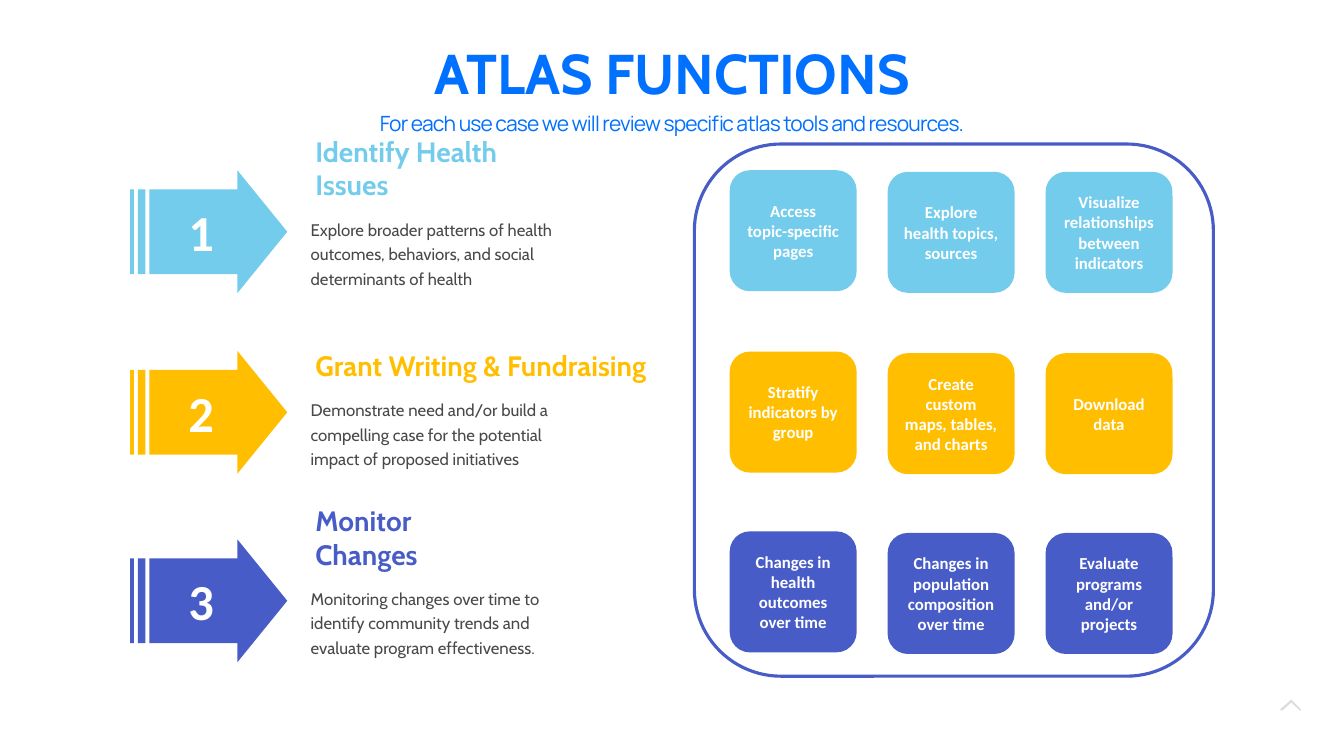
from dataclasses import dataclass

from pptx import Presentation
from pptx.dml.color import RGBColor
from pptx.enum.shapes import MSO_SHAPE
from pptx.enum.text import MSO_ANCHOR, MSO_AUTO_SIZE, PP_ALIGN
from pptx.util import Cm, Pt

ARROW, ROUNDED = MSO_SHAPE.STRIPED_RIGHT_ARROW, MSO_SHAPE.ROUNDED_RECTANGLE
TOP, MIDDLE, BOTTOM = MSO_ANCHOR.TOP, MSO_ANCHOR.MIDDLE, MSO_ANCHOR.BOTTOM
LEFT, CENTER = PP_ALIGN.LEFT, PP_ALIGN.CENTER
GROW = MSO_AUTO_SIZE.SHAPE_TO_FIT_TEXT


@dataclass(frozen=True)
class Theme:
    title: str = "0070FF"
    body: str = "49494B"
    white: str = "FFFFFF"
    chevron: str = "DBDBDB"
    sky: str = "73CCEC"
    amber: str = "FFBF00"
    indigo: str = "485CC7"
    heading_font: str = "Cabin"
    subtitle_font: str = "Manrope"
    shape_font: str = "Calibri"
    title_size: int = 40
    number_size: int = 36
    heading_size: int = 20
    subtitle_size: int = 15
    body_size: int = 12


class SlideBuilder:
    def __init__(self, slide, theme):
        self.slide = slide
        self.theme = theme

    def fill_text(self, frame, text, font, size, color, bold=False, align=LEFT, spacing=None, tracking=None):
        frame.text = text
        for para in frame.paragraphs:
            for name, value in {"alignment": align, "line_spacing": spacing}.items():
                setattr(para, name, value)
            for span in para.runs:
                for name, value in {"name": font, "size": Pt(size), "bold": bold}.items():
                    setattr(span.font, name, value)
                span.font.color.rgb = RGBColor.from_string(color)
                if tracking:
                    span._r.get_or_add_rPr().set("spc", str(tracking))

    def text(self, place, text, anchor=TOP, margins=(0.25, 0.13), **style):
        box = self.slide.shapes.add_textbox(*map(Cm, place))
        side, edge = map(Cm, margins)
        settings = {
            "word_wrap": True, "auto_size": GROW, "vertical_anchor": anchor,
            "margin_left": side, "margin_right": side, "margin_top": edge, "margin_bottom": edge,
        }
        for name, value in settings.items():
            setattr(box.text_frame, name, value)
        self.fill_text(box.text_frame, text, **style)

    def block(self, kind, place, color, text, size, adjustments=()):
        shape = self.slide.shapes.add_shape(kind, *map(Cm, place))
        for index, value in enumerate(adjustments):
            shape.adjustments[index] = value
        self.paint(shape, color)
        shape.text_frame.word_wrap = True
        shape.text_frame.vertical_anchor = MIDDLE
        self.fill_text(shape.text_frame, text, self.theme.shape_font, size, self.theme.white, True, CENTER)

    def paint(self, shape, color):
        shape.shadow.inherit = False
        shape.fill.solid()
        shape.fill.fore_color.rgb = RGBColor.from_string(color)
        shape.line.fill.background()

    def outline(self, place, color, width):
        frame = self.slide.shapes.add_shape(ROUNDED, *map(Cm, place))
        frame.shadow.inherit = False
        frame.fill.background()
        frame.line.color.rgb = RGBColor.from_string(color)
        frame.line.width = Pt(width)

    def polygon(self, points, color):
        start, *rest = [(Cm(x), Cm(y)) for x, y in points]
        builder = self.slide.shapes.build_freeform(*start)
        builder.add_line_segments(rest)
        self.paint(builder.convert_to_shape(), color)


def main():
    theme = Theme()
    deck = Presentation()
    deck.slide_width, deck.slide_height = Cm(33.87), Cm(19.05)
    page = SlideBuilder(deck.slides.add_slide(deck.slide_layouts[6]), theme)

    page.polygon([(32.54, 17.63), (32.79, 17.88), (32.77, 17.91), (32.54, 17.7),
                  (32.31, 17.91), (32.26, 17.88)], theme.chevron)
    page.text((0, -0.36, 33.87, 3.15), "ATLAS FUNCTIONS", BOTTOM, font=theme.heading_font,
              size=theme.title_size, color=theme.title, bold=True, align=CENTER, spacing=Pt(94))
    page.text((0, 2.54, 33.87, 0.97), "For each use case we will review specific atlas tools and resources.",
              font=theme.subtitle_font, size=theme.subtitle_size, color=theme.title,
              align=CENTER, spacing=Pt(21), tracking=-60)

    use_cases = [
        (theme.sky, 4.29, 4.29, "Identify Health Issues", 6.86,
         "Explore broader patterns of health outcomes, behaviors, and social determinants of health",
         ["Access\ntopic-specific pages", "Explore health topics, sources",
          "Visualize relationships between indicators"]),
        (theme.amber, 8.84, 8.86, "Grant Writing & Fundraising", 9.2,
         "Demonstrate need and/or build a compelling case for the potential impact of proposed initiatives",
         ["Stratify\vindicators by group", "Create custom\nmaps, tables, and charts", "Download data"]),
        (theme.indigo, 13.59, 13.39, "Monitor Changes", 5.33,
         "Monitoring changes over time to identify community trends and evaluate program effectiveness.",
         ["Changes in health outcomes over time", "Changes in population composition over time",
          "Evaluate programs and/or projects"]),
    ]
    for number, (color, top, tools_top, heading, width, summary, tools) in enumerate(use_cases, 1):
        page.block(ARROW, (3.28, top, 3.96, 3.1), color, str(number), theme.number_size, (0.689, 0.406))
        page.text((7.7, top - 0.2, width, 1.12), heading, BOTTOM, font=theme.heading_font,
                  size=theme.heading_size, color=color, bold=True)
        page.text((7.7, top + 1.05, 6.73, 2), summary, margins=(0.13, 0.08), font=theme.heading_font,
                  size=theme.body_size, color=theme.body, spacing=Pt(17.5))
        for column, tool in enumerate(tools):
            place = (18.39 + 3.98 * column, tools_top + 0.04 * min(column, 1), 3.2, 3.05)
            page.block(ROUNDED, place, color, tool, theme.body_size)

    page.outline((17.5, 3.63, 13.08, 13.41), theme.indigo, 2.25)
    deck.save("out.pptx")


if __name__ == "__main__":
    main()
